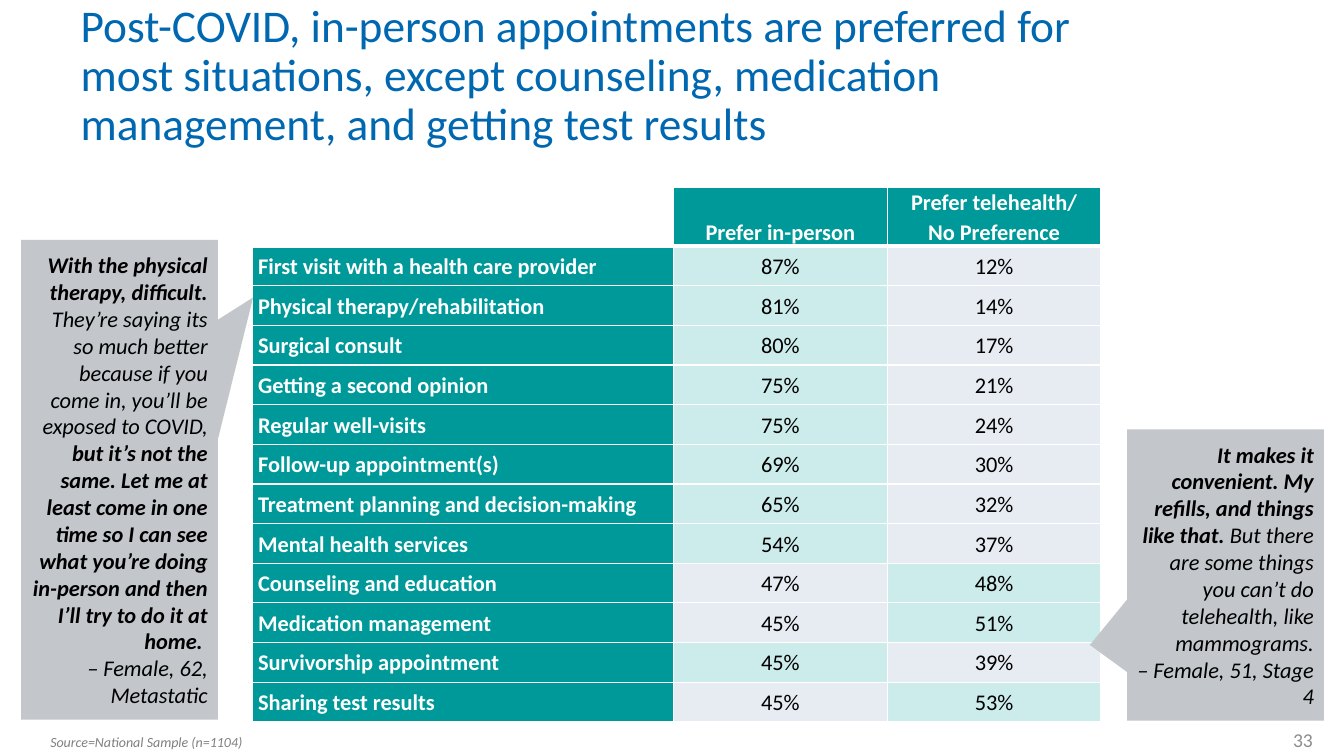
"""Build the slide on appointment preferences after COVID."""
from lxml.etree import SubElement
from pptx import Presentation
from pptx.dml.color import RGBColor
from pptx.enum.shapes import MSO_SHAPE
from pptx.enum.text import MSO_ANCHOR, MSO_AUTO_SIZE, PP_ALIGN
from pptx.oxml.ns import qn
from pptx.util import Pt

PX = 9144
BLUE = RGBColor(0x00, 0x67, 0xB1)
TEAL = RGBColor(0x00, 0x99, 0x99)
MINT = RGBColor(0xCC, 0xEB, 0xEB)
PALE = RGBColor(0xE7, 0xEB, 0xF2)
SILVER = RGBColor(0xC3, 0xC7, 0xCB)
GRAY = RGBColor(0x80, 0x80, 0x80)
ASH = RGBColor(0x8C, 0x8C, 0x8C)
BLACK = RGBColor(0x00, 0x00, 0x00)
WHITE = RGBColor(0xFF, 0xFF, 0xFF)

TITLE = ("Post-COVID, in-person appointments are preferred for most situations, "
         "except counseling, medication management, and getting test results")
HEADS = ["", "Prefer in-person", "Prefer telehealth/\nNo Preference"]
VISITS = [
    ("First visit with a health care provider", 87, 12),
    ("Physical therapy/rehabilitation", 81, 14),
    ("Surgical consult", 80, 17),
    ("Getting a second opinion", 75, 21),
    ("Regular well-visits", 75, 24),
    ("Follow-up appointment(s)", 69, 30),
    ("Treatment planning and decision-making", 65, 32),
    ("Mental health services", 54, 37),
    ("Counseling and education", 47, 48),
    ("Medication management", 45, 51),
    ("Survivorship appointment", 45, 39),
    ("Sharing test results", 45, 53),
]
THERAPY = [
    [("With the physical therapy, difficult. ", True),
     ("They’re saying its so much better because if you come in, "
      "you’ll be exposed to COVID, ", False),
     ("but it’s not the same. Let me at least come in one time so I can see "
      "what you’re doing in-person and then I’ll try to do it at home. ", True)],
    [("– Female, 62, Metastatic", False)],
]
REFILLS = [
    [("It makes it convenient. My refills, and things like that. ", True),
     ("But there are some things you can’t do telehealth, like mammograms.", False)],
    [("– Female, 51, Stage 4", False)],
]


def style(item, **values):
    """Set each named attribute on the item."""
    for name, value in values.items():
        setattr(item, name, value)


def paint(font, size, color, **values):
    """Format a font."""
    style(font, name="Calibri", size=Pt(size), **values)
    font.color.rgb = color


def scale(box):
    """Turn a box in px into EMU."""
    return [side * PX for side in box]


def add_title(slide, box):
    """Place the heading in the title placeholder."""
    title = slide.shapes.title
    style(title, **dict(zip(("left", "top", "width", "height"), scale(box))))
    frame = title.text_frame
    style(frame, text=TITLE, word_wrap=True, auto_size=MSO_AUTO_SIZE.NONE,
          vertical_anchor=MSO_ANCHOR.MIDDLE)
    line = frame.paragraphs[0]
    style(line, alignment=PP_ALIGN.LEFT, line_spacing=0.9)
    paint(line.font, 32.4, BLUE)


def edge(cell, base):
    """Draw white borders around a cell, with the given base width."""
    props = cell._tc.get_or_add_tcPr()
    for side, width in (("L", 1), ("R", 1), ("T", 1), ("B", base)):
        line = SubElement(props, qn("a:ln" + side), w=str(Pt(width)))
        fill = SubElement(line, qn("a:solidFill"))
        SubElement(fill, qn("a:srgbClr"), val=str(WHITE))


def fill_cell(cell, text, back, head, label):
    """Write and format one cell of the table."""
    edge(cell, 3 if head else 1)
    if back is None:
        cell.fill.background()
    else:
        cell.fill.solid()
        cell.fill.fore_color.rgb = back
    style(cell, text=text, margin_left=6 * PX, margin_right=6 * PX,
          margin_top=0, margin_bottom=0,
          vertical_anchor=MSO_ANCHOR.BOTTOM if head else MSO_ANCHOR.MIDDLE)
    strong = head or label
    for line in cell.text_frame.paragraphs:
        style(line, alignment=PP_ALIGN.LEFT if label else PP_ALIGN.CENTER,
              line_spacing=1.07)
        paint(line.font, 16, WHITE if strong else BLACK, bold=strong)


def add_grid(slide, box, first=418, top=58):
    """Place the table, shading the larger share in each row."""
    left, up, width, height = scale(box)
    grid = slide.shapes.add_table(len(VISITS) + 1, 3, left, up, width, height).table
    style(grid, horz_banding=False)
    rest = (width - first * PX) // 2
    for column, size in zip(grid.columns, (first * PX, rest, rest)):
        column.width = size
    for row in grid.rows:
        row.height = (height - top * PX) // len(VISITS)
    grid.rows[0].height = top * PX
    for col, head in enumerate(HEADS):
        fill_cell(grid.cell(0, col), head, TEAL if head else None, True, False)
    for row, (visit, *shares) in enumerate(VISITS, 1):
        fill_cell(grid.cell(row, 0), visit, TEAL, False, True)
        for col, share in enumerate(shares, 1):
            back = MINT if share == max(shares) else PALE
            fill_cell(grid.cell(row, col), f"{share}%", back, False, False)


def add_quote(slide, box, tip, quote):
    """Place a callout whose tip is given as shares of its size."""
    shape = slide.shapes.add_shape(MSO_SHAPE.RECTANGULAR_CALLOUT, *scale(box))
    shape.shadow.inherit = False
    shape.fill.solid()
    shape.fill.fore_color.rgb = SILVER
    shape.line.fill.background()
    for index, value in enumerate(tip):
        shape.adjustments[index] = value
    frame = shape.text_frame
    style(frame, word_wrap=True, vertical_anchor=MSO_ANCHOR.MIDDLE)
    for index, parts in enumerate(quote):
        line = frame.add_paragraph() if index else frame.paragraphs[0]
        line.alignment = PP_ALIGN.RIGHT
        for text, bold in parts:
            run = line.add_run()
            run.text = text
            paint(run.font, 16, BLACK, bold=bold, italic=True)


def add_note(slide, box, text, size, color, align, anchor, italic):
    """Place one line of small text."""
    frame = slide.shapes.add_textbox(*scale(box)).text_frame
    style(frame, text=text, word_wrap=True, vertical_anchor=anchor)
    line = frame.paragraphs[0]
    line.alignment = align
    paint(line.font, size, color, italic=italic)


def main():
    """Build and save the deck."""
    deck = Presentation()
    style(deck, slide_width=1333 * PX, slide_height=750 * PX)
    slide = deck.slides.add_slide(deck.slide_layouts[5])
    add_title(slide, (70, 23, 1045, 106))
    add_grid(slide, (250, 186, 842, 530))
    add_quote(slide, (21, 238, 195, 476), (0.68, -0.38), THERAPY)
    add_quote(slide, (1118, 426, 195, 289), (-0.69, 0.24), REFILLS)
    add_note(slide, (40, 723, 509, 27), "Source=National Sample (n=1104)",
             10, GRAY, PP_ALIGN.LEFT, MSO_ANCHOR.TOP, True)
    add_note(slide, (1214, 714, 98, 40), "33",
             14, ASH, PP_ALIGN.RIGHT, MSO_ANCHOR.MIDDLE, False)
    deck.save("out.pptx")


if __name__ == "__main__":
    main()
